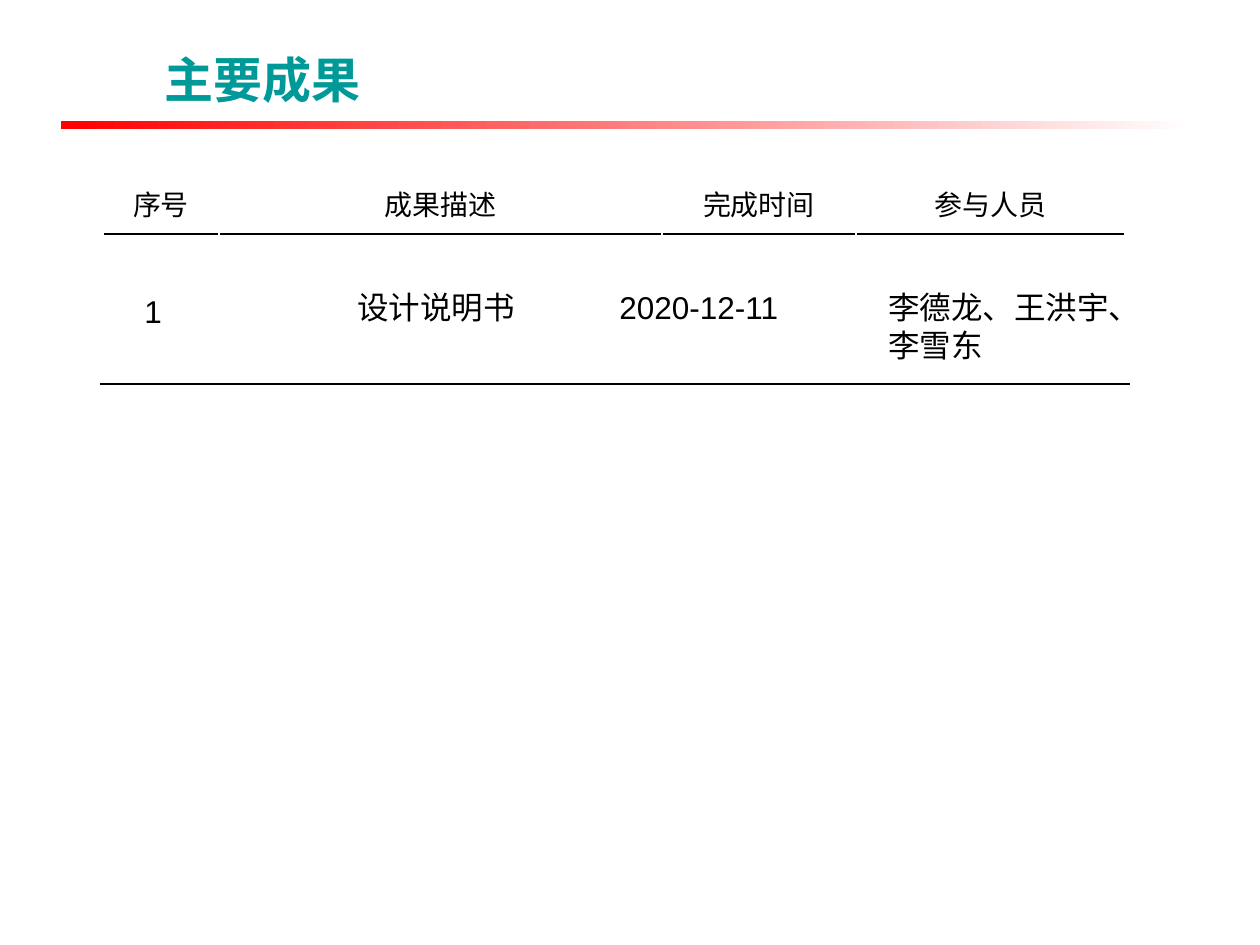
from dataclasses import dataclass
from lxml.etree import SubElement
from pptx import Presentation
from pptx.dml.color import RGBColor as RGB
from pptx.enum.shapes import MSO_CONNECTOR as CONN, MSO_SHAPE as SHAPE
from pptx.enum.text import MSO_ANCHOR as ANCHOR, PP_ALIGN as ALIGN
from pptx.oxml import parse_xml
from pptx.oxml.ns import nsdecls, qn
from pptx.util import Pt

PX = 914400 // 126


@dataclass(frozen=True)
class Theme:
    ink: str = "000000"
    title: str = "009999"
    bar_start: str = "FF0000"
    bar_end: str = "FFFFFF"
    latin: str = "Arial"
    cjk: str = "Noto Sans CJK SC"
    title_size: int = 28
    head_size: int = 16
    body_size: int = 18


class Deck:
    def __init__(self, prs, theme):
        self.theme = theme
        self.slide = prs.slides.add_slide(prs.slide_layouts[6])
        self.shapes = self.slide.shapes

    def run(self, p, text, size, color=None, font=None, bold=False):
        r = p.add_run()
        r.text = text
        f = r.font
        f.name, f.size, f.bold = font or self.theme.latin, Pt(size), bold
        f.color.rgb = RGB.from_string(color or self.theme.ink)
        SubElement(r._r.get_or_add_rPr(), qn("a:ea"), typeface=self.theme.cjk)

    def text(self, box, text, size, anchor=ANCHOR.TOP, **style):
        tf = self.shapes.add_textbox(*(v * PX for v in box)).text_frame
        tf.word_wrap = True
        tf.vertical_anchor = anchor
        self.run(tf.paragraphs[0], text, size, **style)

    def gradient_bar(self, box):
        sp = self.shapes.add_shape(SHAPE.RECTANGLE, *(v * PX for v in box))
        sp.shadow.inherit = False
        sp.line.fill.background()
        sp.fill.gradient()
        sp.fill.gradient_angle = 0
        colors = (self.theme.bar_start, self.theme.bar_end)
        for pos, (stop, color) in enumerate(zip(sp.fill.gradient_stops, colors)):
            stop.position = pos
            stop.color.rgb = RGB.from_string(color)

    def line(self, x1, y1, x2, y2, width):
        c = self.shapes.add_connector(CONN.STRAIGHT, *(v * PX for v in (x1, y1, x2, y2)))
        c.line.color.rgb = RGB.from_string(self.theme.ink)
        c.line.width = Pt(width)
        SubElement(c._element.spPr, qn("a:effectLst"))

    def header_table(self, left, top, height, columns):
        width = sum(w for _, w in columns)
        box = (v * PX for v in (left, top, width, height))
        table = self.shapes.add_table(1, len(columns), *box).table
        table.first_row = table.horz_banding = False
        for i, (label, w) in enumerate(columns):
            table.columns[i].width = w * PX
            cell = table.cell(0, i)
            cell.vertical_anchor = ANCHOR.MIDDLE
            cell.fill.background()
            p = cell.text_frame.paragraphs[0]
            p.alignment = ALIGN.CENTER
            self.run(p, label, self.theme.head_size, font=self.theme.cjk)
            border = parse_xml(
                f'<a:lnB {nsdecls("a")} w="{Pt(1)}"><a:solidFill>'
                f'<a:srgbClr val="{self.theme.ink}"/></a:solidFill></a:lnB>')
            cell._tc.get_or_add_tcPr().insert(0, border)


theme = Theme()
prs = Presentation()
prs.slide_width, prs.slide_height = 1260 * PX, 945 * PX
deck = Deck(prs, theme)

deck.gradient_bar((61, 121, 1134, 8))
deck.text((152, 35, 1052, 79), "主要成果", theme.title_size,
          anchor=ANCHOR.BOTTOM, color=theme.title, bold=True)

results = [
    ("1", (132, 286, 83, 50), theme.latin),
    ("设计说明书", (345, 282, 252, 50), theme.cjk),
    ("2020-12-11", (607, 282, 252, 50), theme.latin),
    ("李德龙、王洪宇、李雪东", (876, 282, 272, 50), theme.latin),
]
for text, box, font in results:
    deck.text(box, text, theme.body_size, font=font)

deck.header_table(103, 172, 62, [
    ("序号", 116), ("成果描述", 443), ("完成时间", 194), ("参与人员", 269)])
deck.line(100, 384, 1130, 384, 0.75)

prs.save("out.pptx")
